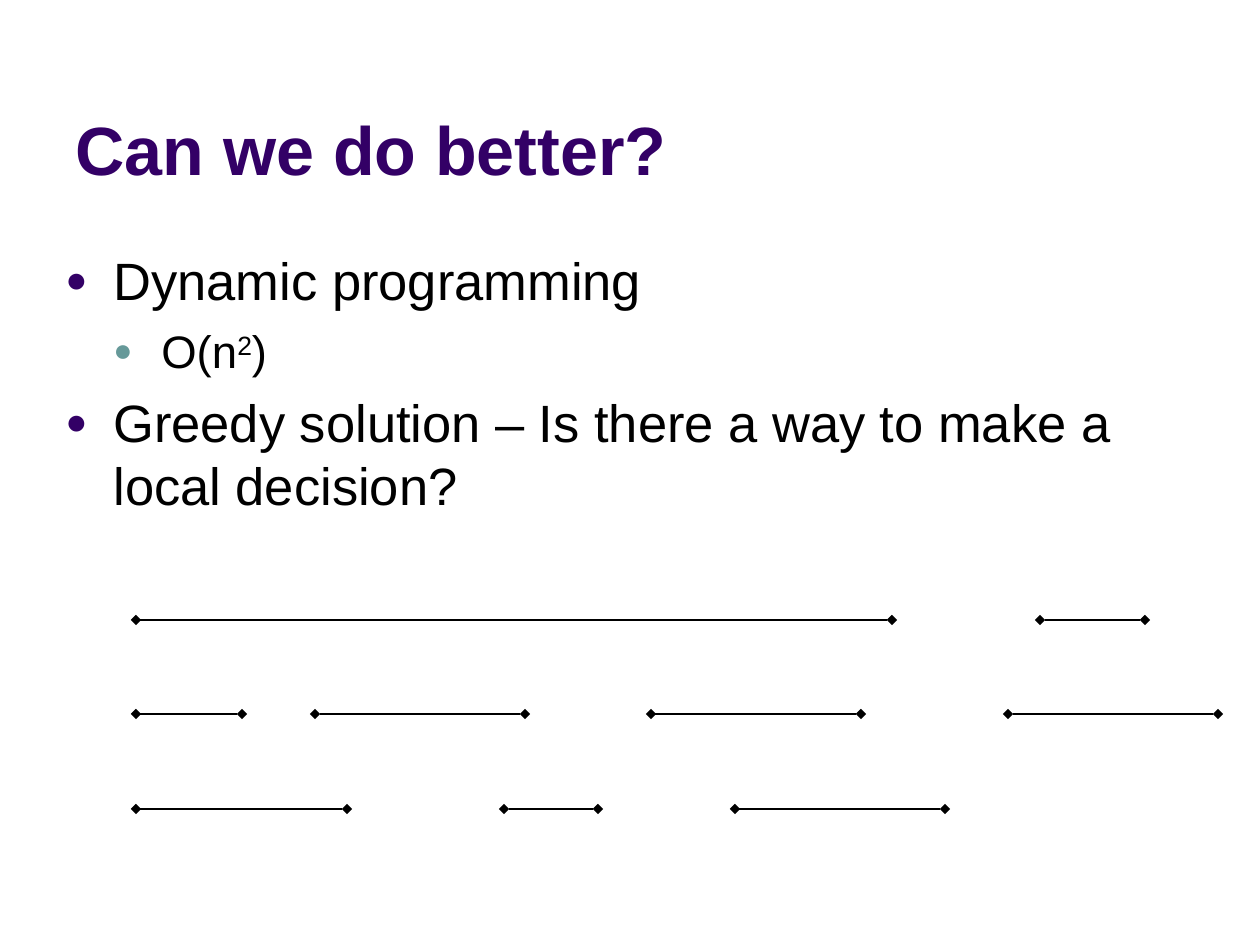
"""Build the slide that asks whether interval scheduling can be done better."""
from dataclasses import dataclass

from lxml.etree import SubElement
from pptx import Presentation
from pptx.dml.color import RGBColor
from pptx.enum.shapes import MSO_CONNECTOR as Connector
from pptx.enum.text import MSO_ANCHOR as Anchor
from pptx.oxml.ns import qn
from pptx.util import Emu, Pt

PX_PER_INCH = 126
INTERVAL_ROWS = {
    620: [(136, 892), (1040, 1145)],
    714: [(136, 242), (315, 525), (651, 861), (1008, 1218)],
    809: [(136, 347), (504, 598), (735, 945)],
}


@dataclass(frozen=True)
class Theme:
    font: str = "Arial"
    title_color: str = "330066"
    text_color: str = "000000"
    bullet_colors: tuple = ("330066", "669999")
    title_size: int = 39
    body_sizes: tuple = (30, 26)
    space_before: int = 7
    line_width: float = 0.75


def px(length):
    return Emu(round(length * 914400 / PX_PER_INCH))


def add_text(paragraph, text, *, font, size, color, bold=False, baseline=0):
    run = paragraph.add_run()
    run.text = text
    run.font.name = font
    run.font.size = Pt(size)
    run.font.bold = bold
    run.font.color.rgb = RGBColor.from_string(color)
    if baseline:
        run._r.get_or_add_rPr().set("baseline", str(baseline * 1000))


class SlideBuilder:
    def __init__(self, slide, theme):
        self.slide = slide
        self.theme = theme

    def text_frame(self, left, top, width, height, anchor=Anchor.TOP):
        shape = self.slide.shapes.add_textbox(px(left), px(top), px(width), px(height))
        frame = shape.text_frame
        frame.word_wrap = True
        frame.vertical_anchor = anchor
        return frame

    def title(self, text, *box):
        theme = self.theme
        frame = self.text_frame(*box, anchor=Anchor.BOTTOM)
        add_text(frame.paragraphs[0], text, font=theme.font, size=theme.title_size,
                 color=theme.title_color, bold=True)

    def bullet(self, paragraph, level):
        properties = paragraph._p.get_or_add_pPr()
        properties.set("marL", str(px(48 * (level + 1))))
        properties.set("indent", str(px(-48)))
        color = SubElement(properties, qn("a:buClr"))
        SubElement(color, qn("a:srgbClr"), val=self.theme.bullet_colors[level])
        SubElement(properties, qn("a:buSzPct"), val="70000")
        SubElement(properties, qn("a:buFont"), typeface=self.theme.font)
        SubElement(properties, qn("a:buChar"), char="●")

    def bullets(self, items, *box):
        theme = self.theme
        frame = self.text_frame(*box)
        frame.margin_top = px(11)
        for index, (level, runs) in enumerate(items):
            paragraph = frame.add_paragraph() if index else frame.paragraphs[0]
            paragraph.level = level
            self.bullet(paragraph, level)
            if index:
                paragraph.space_before = Pt(theme.space_before)
            for text, baseline in runs:
                add_text(paragraph, text, font=theme.font, size=theme.body_sizes[level],
                         color=theme.text_color, baseline=baseline)

    def interval(self, start, end, y):
        connector = self.slide.shapes.add_connector(
            Connector.STRAIGHT, px(start), px(y), px(end), px(y))
        connector.line.width = Pt(self.theme.line_width)
        connector.line.color.rgb = RGBColor.from_string(self.theme.text_color)
        outline = connector.line._get_or_add_ln()
        for tag in ("a:headEnd", "a:tailEnd"):
            SubElement(outline, qn(tag), type="diamond")
        SubElement(connector._element.spPr, qn("a:effectLst"))


def main():
    presentation = Presentation()
    presentation.slide_width = px(1260)
    presentation.slide_height = px(945)
    slide = presentation.slides.add_slide(presentation.slide_layouts[6])
    builder = SlideBuilder(slide, Theme())
    builder.title("Can we do better?", 63, 16, 1134, 179)
    builder.bullets([
        (0, [("Dynamic programming", 0)]),
        (1, [("O(n", 0), ("2", 30), (")", 0)]),
        (0, [("Greedy solution – Is there a way to make a local decision?", 0)]),
    ], 53, 237, 1144, 330)
    for y, intervals in INTERVAL_ROWS.items():
        for start, end in intervals:
            builder.interval(start, end, y)
    presentation.save("out.pptx")


if __name__ == "__main__":
    main()
